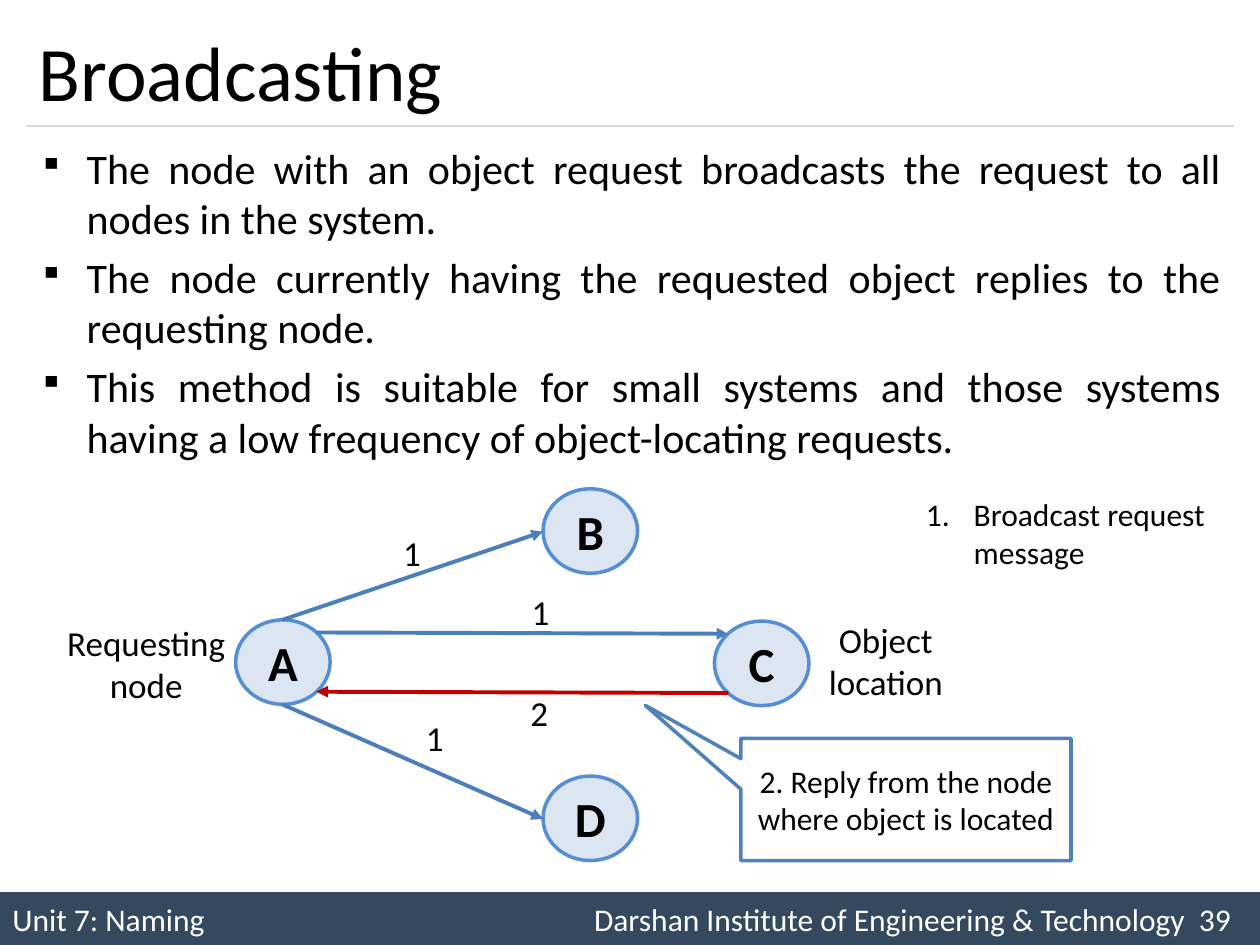
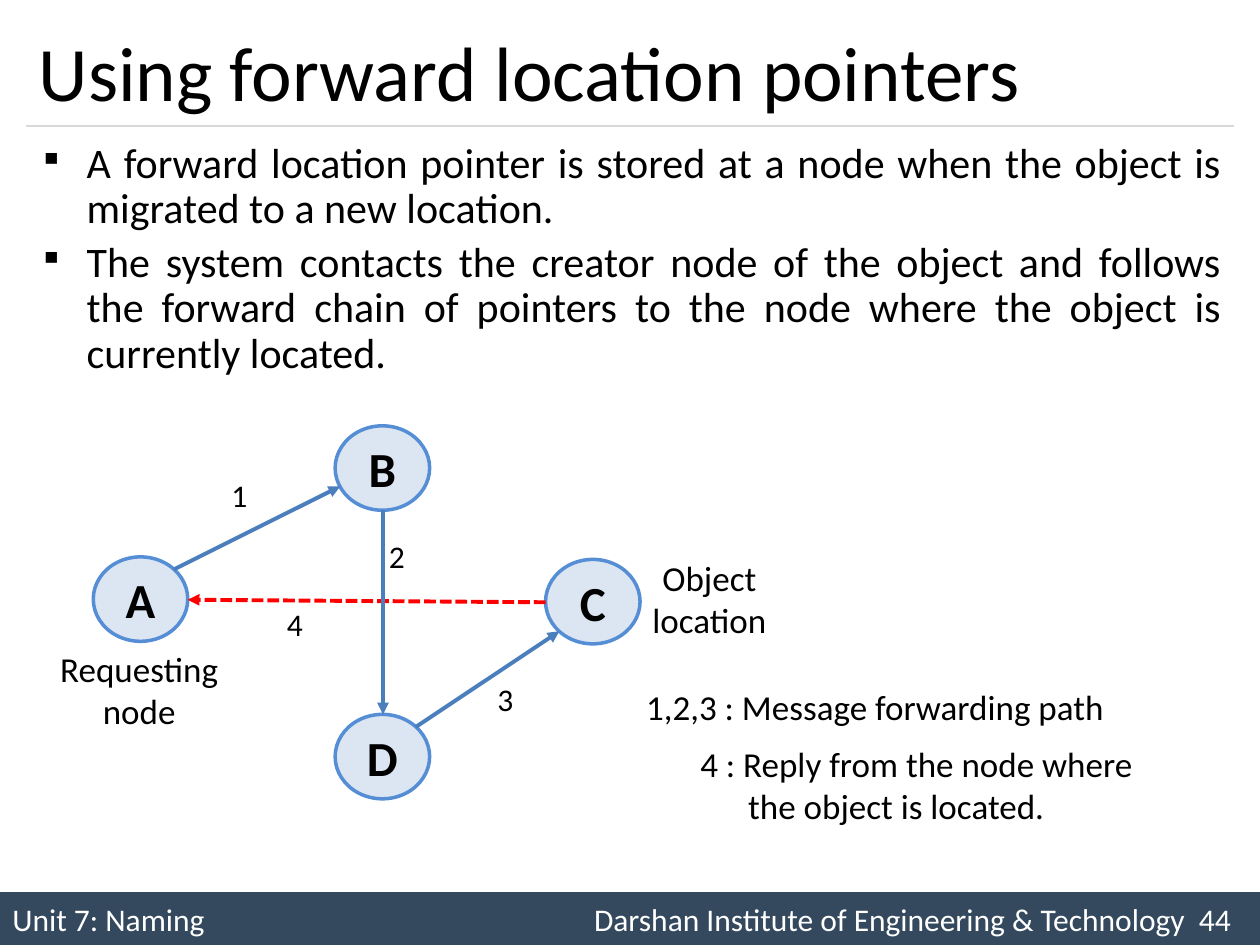
from dataclasses import dataclass
from math import cos, radians, sin

from lxml.etree import SubElement as Sub
from pptx import Presentation
from pptx.dml.color import RGBColor as Rgb
from pptx.enum.dml import MSO_LINE as Dash
from pptx.enum.shapes import MSO_CONNECTOR as Conn, MSO_SHAPE as Geo
from pptx.enum.text import MSO_ANCHOR as Anchor, PP_ALIGN as Align
from pptx.oxml.ns import qn
from pptx.util import Emu, Pt

PX = 9144
WIDE, HIGH = 1000, 750
NODE_W, NODE_H = 75, 67


@dataclass(frozen=True)
class Theme:
    font: str = "Calibri"
    ink: str = "000000"
    paper: str = "FFFFFF"
    band: str = "34495E"
    rule: str = "D9D9D9"
    node: str = "DCE6F2"
    rim: str = "558ED5"
    edge: str = "4B7EBC"
    note: str = "4F81BD"
    reply: str = "C00000"
    alert: str = "FF0000"
    title: int = 44
    mark: int = 28
    body: int = 24
    label: int = 20
    small: int = 18


T = Theme()


def px(*vals):
    return [Emu(val * PX) for val in vals]


def style(obj, form):
    for key, val in form.items():
        setattr(obj, key, val)


def indent(para, left, first=0):
    props = para._p.get_or_add_pPr()
    props.set("marL", str(left * PX))
    props.set("indent", str(first * PX))
    return props


def bullet(para, tag, scale=100, **attrs):
    props = indent(para, 38, -38)
    Sub(props, qn("a:buSzPct"), val=str(scale * 1000))
    Sub(props, qn(tag), attrs)


def write(shape, lines, size, color=T.ink, bold=False, wrap=True,
          anchor=Anchor.TOP, mark=None, **form):
    frame = shape.text_frame
    style(frame, {"word_wrap": wrap, "vertical_anchor": anchor})
    for num, line in enumerate(lines):
        para = frame.add_paragraph() if num else frame.paragraphs[0]
        if mark:
            bullet(para, **mark)
        run = para.add_run()
        run.text = line
        style(run.font, {"name": T.font, "size": Pt(size), "bold": bold})
        run.font.color.rgb = Rgb.from_string(color)
        style(para, form)
    return frame


def text(slide, box, lines, size, **form):
    return write(slide.shapes.add_textbox(*px(*box)), lines, size, **form)


def block(slide, geo, box, fill, line=None):
    shape = slide.shapes.add_shape(geo, *px(*box))
    shape.shadow.inherit = False
    shape.fill.solid()
    shape.fill.fore_color.rgb = Rgb.from_string(fill)
    if line:
        shape.line.color.rgb = Rgb.from_string(line)
        shape.line.width = Pt(2)
    else:
        shape.line.fill.background()
    return shape


def draw(slide, start, end, color, width=2.25, dash=None, head=True):
    line = slide.shapes.add_connector(Conn.STRAIGHT, *px(*start, *end))
    line.line.color.rgb = Rgb.from_string(color)
    style(line.line, {"width": Pt(width), "dash_style": dash})
    props = line._element.spPr
    if head:
        Sub(props.find(qn("a:ln")), qn("a:tailEnd"), type="triangle")
    Sub(props, qn("a:effectLst"))


def footer(slide, box, page):
    band = block(slide, Geo.RECTANGLE, box, T.band)
    tabs = Sub(band.text_frame.paragraphs[0]._p.get_or_add_pPr(), qn("a:tabLst"))
    for stop in (931, 967):
        Sub(tabs, qn("a:tab"), pos=str(stop * PX), algn="r")
    line = f"Unit 7: Naming\tDarshan Institute of Engineering & Technology\t{page}"
    write(band, [line], T.small, color=T.paper, anchor=Anchor.MIDDLE,
          alignment=Align.LEFT)


def base(deck, title, points, page, space):
    slide = deck.slides.add_slide(deck.slide_layouts[6])
    footer(slide, (0, 708, WIDE, 42), page)
    draw(slide, (21, 100), (979, 100), T.rule, width=0.75, head=False)
    text(slide, (21, 12, 958, 88), [title], T.title, anchor=Anchor.MIDDLE)
    frame = text(slide, (21, 108, 958, 275), points, T.body,
                 mark={"tag": "a:buChar", "scale": 80, "char": "▪"},
                 alignment=Align.JUSTIFY, line_spacing=space)
    for para in frame.paragraphs[1:]:
        para.space_before = Pt(4.8)
    return slide


def pin(spot, angle):
    x, y = spot
    turn = radians(angle)
    return (round(x + NODE_W / 2 * (1 + cos(turn))),
            round(y + NODE_H / 2 * (1 + sin(turn))))


def graph(slide, origin, nodes, edges, tags, size):
    left, top = origin
    spots = {name: (left + x, top + y) for name, (x, y) in nodes.items()}
    for name, spot in spots.items():
        node = block(slide, Geo.OVAL, (*spot, NODE_W, NODE_H), T.node, T.rim)
        write(node, [name], T.mark, bold=True, anchor=Anchor.MIDDLE,
              alignment=Align.CENTER)
    for src, out, dst, into, color, dash in edges:
        draw(slide, pin(spots[src], out), pin(spots[dst], into), color, dash=dash)
    for tag, x, y in tags:
        text(slide, (left + x, top + y, 34, 44), [tag], size, wrap=False,
             alignment=Align.CENTER)


def captions(slide, origin, places):
    left, top = origin
    for lines, x, y, width in places:
        text(slide, (left + x, top + y, width, 77), lines, T.label, wrap=False,
             alignment=Align.CENTER)


def broadcast(deck):
    slide = base(deck, "Broadcasting", [
        "The node with an object request broadcasts the request to all nodes in the system.",
        "The node currently having the requested object replies to the requesting node.",
        "This method is suitable for small systems and those systems having a low "
        "frequency of object-locating requests.",
    ], 39, 1.0)
    origin = (42, 388)
    graph(slide, origin,
          {"A": (145, 104), "B": (389, 0), "C": (525, 105), "D": (389, 228)},
          [("A", -45, "C", -135, T.edge, None),
           ("A", -90, "B", 180, T.edge, None),
           ("A", 90, "D", 180, T.edge, None),
           ("C", 135, "A", 45, T.reply, None)],
          [("1", 268, 29), ("1", 370, 76), ("1", 286, 176), ("2", 369, 156)],
          T.label)
    captions(slide, origin, [(["Requesting", "node"], 0, 100, 148),
                             (["Object", "location"], 592, 98, 138)])
    note = block(slide, Geo.RECTANGULAR_CALLOUT, (588, 586, 262, 97), T.paper, T.note)
    note.adjustments[0], note.adjustments[1] = -0.79, -0.77
    write(note, ["2. Reply from the node where object is located"], T.small,
          anchor=Anchor.MIDDLE, alignment=Align.CENTER)
    text(slide, (725, 388, 254, 71), ["Broadcast request message"], T.small,
         mark={"tag": "a:buAutoNum", "type": "arabicPeriod"})


def forward(deck):
    slide = base(deck, "Using forward location pointers", [
        "A forward location pointer is stored at a node when the object is migrated "
        "to a new location.",
        "The system contacts the creator node of the object and follows the forward "
        "chain of pointers to the node where the object is currently located.",
    ], 44, 0.9)
    origin = (34, 338)
    graph(slide, origin,
          {"A": (40, 104), "B": (232, 0), "C": (399, 106), "D": (232, 229)},
          [("A", -45, "B", 154, T.edge, None),
           ("D", -45, "C", 135, T.edge, None),
           ("C", 180, "A", 0, T.alert, Dash.SQUARE_DOT),
           ("B", 90, "D", -90, T.edge, None)],
          [("1", 139, 35), ("2", 264, 83), ("4", 183, 137), ("3", 350, 197)],
          T.small)
    captions(slide, origin, [(["Requesting", "node"], 0, 171, 153),
                             (["Object", "location"], 460, 99, 138)])
    text(slide, (503, 539, 456, 44), ["1,2,3 : Message forwarding path"], T.label)
    key = text(slide, (546, 584, 405, 77),
               ["4 : Reply from the node where", "the object is located."], T.label)
    indent(key.paragraphs[1], 38)


def main():
    deck = Presentation()
    deck.slide_width, deck.slide_height = px(WIDE, HIGH)
    broadcast(deck)
    forward(deck)
    deck.save("out.pptx")


if __name__ == "__main__":
    main()
